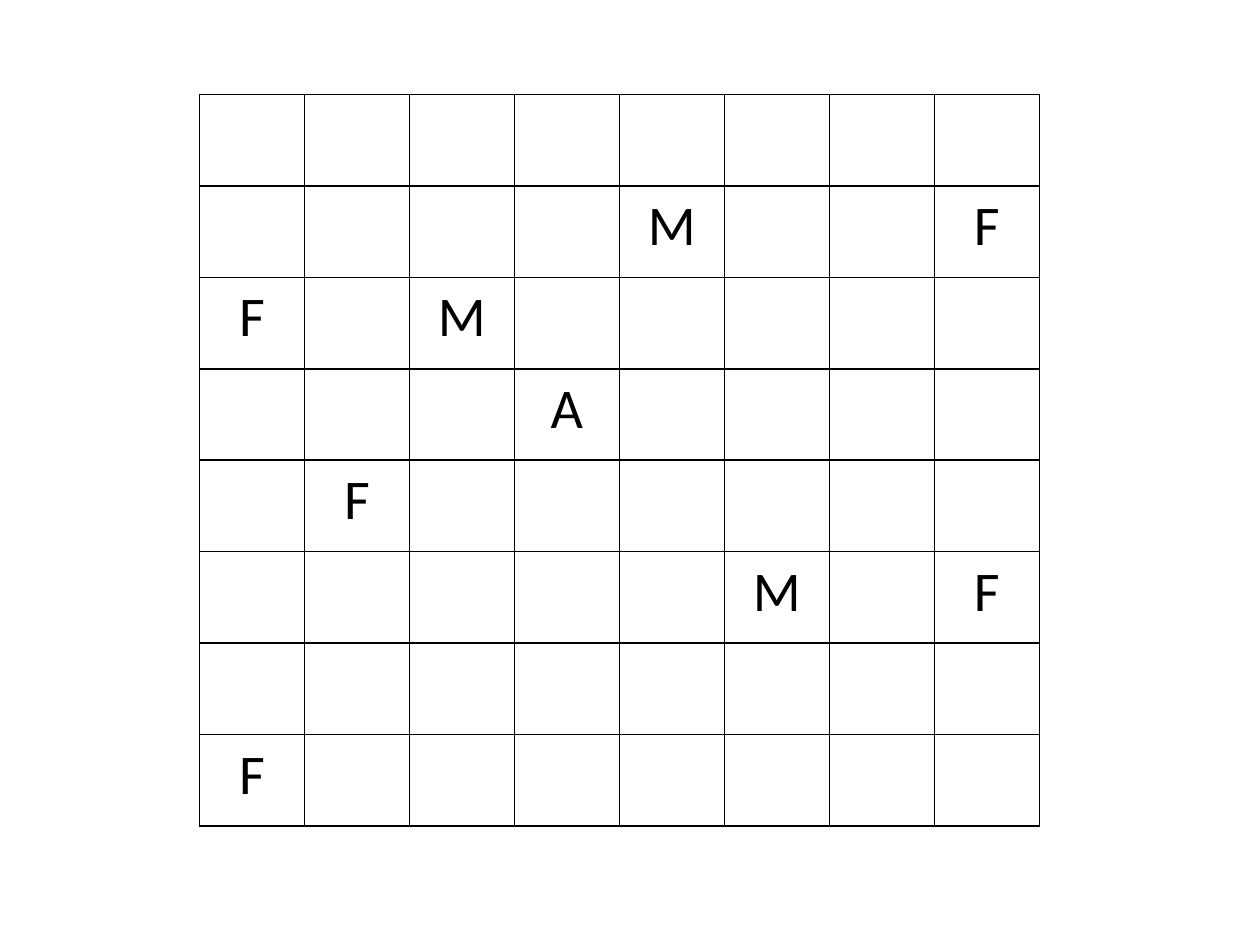
import pptx
import pptx.util
import pptx.dml.color
import pptx.enum.text
import pptx.oxml
import pptx.oxml.ns

Pt = pptx.util.Pt

BOARD = [
    "........",
    "....M..F",
    "F.M.....",
    "...A....",
    ".F......",
    ".....M.F",
    "........",
    "F.......",
]
COLORS = {"ink": "000000"}
LEFT, TOP = 114, 54
SQUARE_WIDTH, SQUARE_HEIGHT = 60, 52.25


def add_borders(square):
    properties = square._tc.get_or_add_tcPr()
    for position, side in enumerate(("lnL", "lnR", "lnT", "lnB")):
        border = pptx.oxml.parse_xml(
            f'<a:{side} {pptx.oxml.ns.nsdecls("a")} w="{Pt(1)}">'
            f'<a:solidFill><a:srgbClr val="{COLORS["ink"]}"/></a:solidFill>'
            f'</a:{side}>'
        )
        properties.insert(position, border)


def add_letter(square, letter):
    paragraph = square.text_frame.paragraphs[0]
    paragraph.alignment = pptx.enum.text.PP_ALIGN.CENTER
    run = paragraph.add_run()
    run.text = letter
    run.font.name = "Calibri"
    run.font.size = Pt(32)
    run.font.bold = False
    run.font.color.rgb = pptx.dml.color.RGBColor.from_string(COLORS["ink"])


deck = pptx.Presentation()
deck.slide_width, deck.slide_height = Pt(720), Pt(540)
slide = deck.slides.add_slide(deck.slide_layouts[6])

row_count, column_count = len(BOARD), len(BOARD[0])
board = slide.shapes.add_table(
    row_count, column_count, Pt(LEFT), Pt(TOP),
    Pt(column_count * SQUARE_WIDTH), Pt(row_count * SQUARE_HEIGHT),
).table
board.first_row = False
board.horz_banding = False
for column in board.columns:
    column.width = Pt(SQUARE_WIDTH)

for row, letters in zip(board.rows, BOARD):
    row.height = Pt(SQUARE_HEIGHT)
    for square, letter in zip(row.cells, letters):
        square.fill.background()
        add_borders(square)
        if letter != ".":
            add_letter(square, letter)

deck.save("out.pptx")
